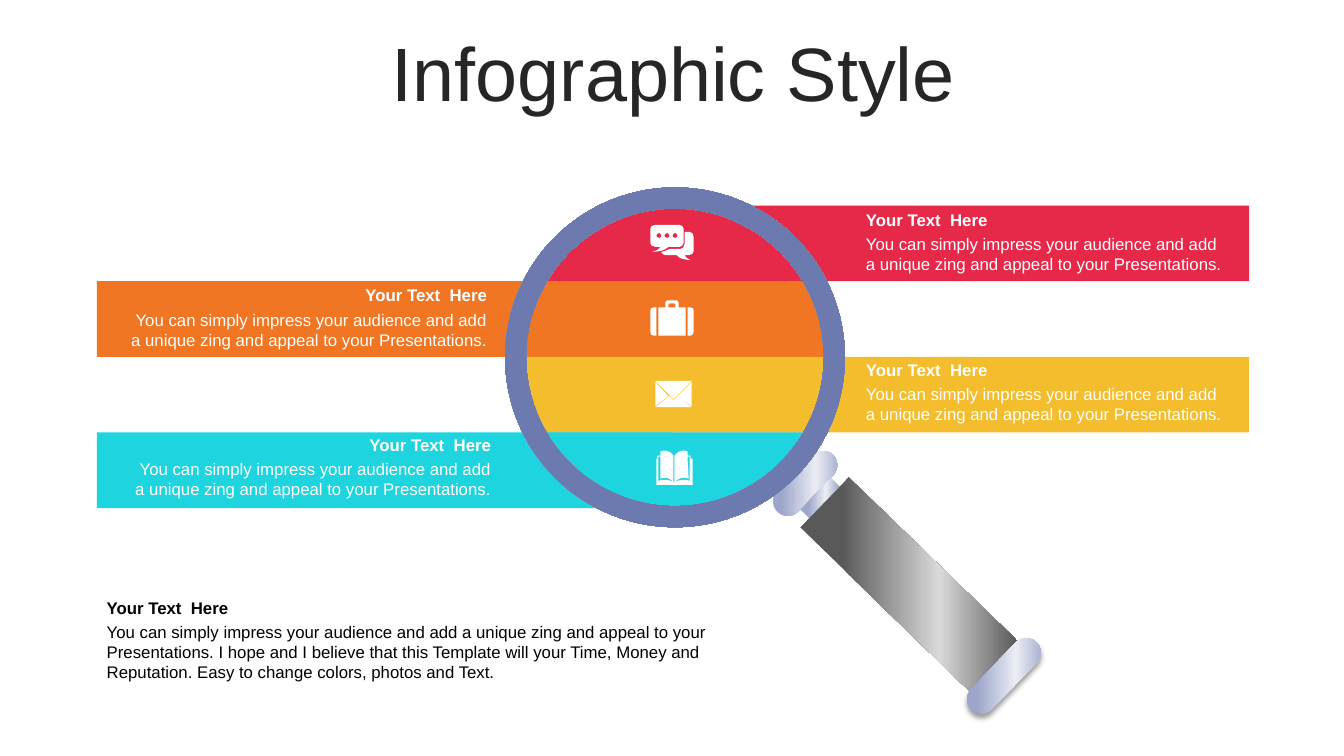
from dataclasses import dataclass
from math import asin, cos, pi, sin, tan

from lxml.etree import SubElement
from pptx import Presentation
from pptx.dml.color import RGBColor
from pptx.enum.shapes import MSO_SHAPE
from pptx.enum.text import MSO_ANCHOR, MSO_AUTO_SIZE, PP_ALIGN
from pptx.oxml import parse_xml
from pptx.oxml.ns import nsdecls, qn
from pptx.util import Inches, Pt


@dataclass(frozen=True)
class Theme:
    font: str = "Arial"
    title_size: int = 54
    text_size: int = 12
    title: str = "262626"
    dark: str = "000000"
    light: str = "FFFFFF"
    red: str = "E62949"
    orange: str = "F07624"
    yellow: str = "F4BD2D"
    cyan: str = "1ED4DE"
    metal: tuple = ((19, "9DA6CA"), (64, "EBEDF4"), (100, "9DA6CA"))
    grip: tuple = ((19, "595959"), (64, "D9D9D9"), (100, "595959"))
    rim: tuple = ((61, "6C7AB0"), (67, "EBEDF4"), (78, "495687"))


THEME = Theme()
WIDTH, HEIGHT = 13.33, 7.5
TITLE = "Infographic Style"
HEADING = "Your Text  Here"
PITCH = "You can simply impress your audience and add a unique zing and appeal to your Presentations."
CLOSING = (PITCH + " I hope and I believe that this Template will your Time, Money and Reputation."
           " Easy to change colors, photos and Text.")

BANDS = [
    (THEME.red, "right", 8.49, 2.03, 3.74),
    (THEME.orange, "left", 1.13, 2.78, 3.8),
    (THEME.yellow, "right", 8.49, 3.52, 3.74),
    (THEME.cyan, "left", 1.17, 4.26, 3.8),
]
ROW = HEIGHT / 10
BANDS_TOP = HEIGHT * 0.272
BAND_WIDTH = 5.71
SIDE_LEFT = {"left": 0.96, "right": 6.68}
LENS_X, LENS_Y, LENS_RADIUS = 6.7, 3.54, 1.48

ENVELOPE = """M 672 393 L 686 404 L 650 404 L 664 393 L 668 397 Z
M 686 379 L 686 403 L 672 393 Z M 650 379 L 663 393 L 650 403 Z
M 650 378 L 686 378 L 668 396 Z"""
BOOK = """M 668 478 C 668 478 669 478 669 478 L 669 478 C 675 476 678 475 684 477
L 684 453 L 682 453 C 682 460 683 467 683 475 C 678 473 674 474 669 478 L 669 453 L 669 452
C 672 449 674 447 677 447 C 679 447 681 447 682 448 C 682 449 682 451 682 452
L 685 452 L 685 455 L 687 455 L 687 481 L 651 481 L 651 455 L 652 455 L 652 452
L 655 452 C 655 451 655 449 655 448 C 657 447 659 447 660 447 C 663 447 666 449 668 452
L 668 453 L 668 478 C 664 474 659 473 655 475 L 655 453 L 653 453 L 653 477
C 659 475 663 476 668 478 Z"""
BUBBLE_DOTS = " ".join(
    f"M {x} 231 C {x - 2} 231 {x - 3} 233 {x - 3} 234 C {x - 3} 235 {x - 2} 236 {x} 236 "
    f"C {x + 1} 236 {x + 2} 235 {x + 2} 234 C {x + 2} 233 {x + 1} 231 {x} 231 Z"
    for x in (670, 662, 654))
BUBBLES = BUBBLE_DOTS + """ M 679 230 L 684 230 C 686 230 688 232 688 235 L 688 249
C 688 251 686 253 684 253 L 679 253 C 680 254 680 256 685 258 C 676 257 675 257 671 253
L 660 253 C 658 253 657 252 656 250 C 659 250 661 248 664 247 L 675 247
C 677 247 679 245 679 242 L 679 230 Z M 650 223 L 674 223 C 676 223 678 225 678 227 L 678 241
C 678 243 676 245 674 245 L 663 245 C 658 249 656 249 647 250 C 652 248 653 248 655 245
L 650 245 C 647 245 645 243 645 241 L 645 227 C 645 225 647 223 650 223 Z"""
SUITCASE = """M 682 305 L 685 305 C 687 305 688 306 688 308 L 688 329
C 688 331 687 333 685 333 L 682 333 Z M 648 305 L 651 305 L 651 333 L 648 333
C 646 333 645 331 645 329 L 645 308 C 645 306 646 305 648 305 Z
M 664 301 C 663 301 663 301 663 302 L 663 305 L 670 305 L 670 302 C 670 301 670 301 669 301 Z
M 662 298 L 671 298 C 672 298 673 299 673 300 L 673 305 L 680 305 L 680 333 L 653 333
L 653 305 L 660 305 L 660 300 C 660 299 661 298 662 298 Z"""

TILT = 314.1
MAGNIFIER = [
    (MSO_SHAPE.ROUNDED_RECTANGLE, (7.59, 4.65, 0.79, 0.29), 0.5, THEME.metal, False),
    (MSO_SHAPE.RECTANGLE, (7.92, 4.88, 0.43, 0.13), None, THEME.metal, False),
    (MSO_SHAPE.RECTANGLE, (8.67, 4.63, 0.69, 2.33), None, THEME.grip, False),
    (MSO_SHAPE.ROUNDED_RECTANGLE, (9.49, 6.56, 0.93, 0.29), 0.5, THEME.metal, True),
    (MSO_SHAPE.DONUT, (5.01, 1.86, 3.37, 3.37), 0.062, THEME.rim, False),
]


def paint(shape, color):
    shape.shadow.inherit = False
    shape.fill.solid()
    shape.fill.fore_color.rgb = RGBColor.from_string(color)
    shape.line.fill.background()


def paint_gradient(shape, stops, direction):
    paint(shape, stops[0][1])
    listing = "".join(f'<a:gs pos="{share * 1000}"><a:srgbClr val="{color}"/></a:gs>'
                      for share, color in stops)
    properties = shape.element.spPr
    properties.replace(properties.find(qn("a:solidFill")), parse_xml(
        f'<a:gradFill {nsdecls("a")} rotWithShape="0"><a:gsLst>{listing}</a:gsLst>{direction}</a:gradFill>'))


def add_shadow(shape):
    effects = shape.element.spPr.find(qn("a:effectLst"))
    shadow = SubElement(effects, qn("a:outerShdw"), blurRad=str(Pt(4)), dist=str(Pt(3)),
                        dir="5400000", algn="t", rotWithShape="0")
    black = SubElement(shadow, qn("a:srgbClr"), val=THEME.dark)
    SubElement(black, qn("a:alpha"), val="40000")


def write(frame, text, size=THEME.text_size, color=THEME.light, bold=False, align=PP_ALIGN.LEFT):
    frame.word_wrap = True
    paragraph = frame.paragraphs[0]
    paragraph.alignment = align
    run = paragraph.add_run()
    run.text = text
    run.font.name = THEME.font
    run.font.size = Pt(size)
    run.font.bold = bold
    run.font.color.rgb = RGBColor.from_string(color)


def add_message(slide, left, top, width, body, body_height=0.5, gap=0.24, **style):
    for text, y, height, bold in ((body, top + gap, body_height, False), (HEADING, top, 0.3, True)):
        box = slide.shapes.add_textbox(Inches(left), Inches(y), Inches(width), Inches(height))
        write(box.text_frame, text, bold=bold, **style)


def add_outline(slide, segments, color):
    scaled = [(command, [(Inches(x), Inches(y)) for x, y in points]) for command, points in segments]
    builder = slide.shapes.build_freeform(*scaled[0][1][0], scale=1.0)
    for index, (command, points) in enumerate(scaled):
        if command == "M" and index:
            builder.move_to(*points[0])
        elif command != "M":
            builder.add_line_segments(points, close=command == "Z")
    outline = builder.convert_to_shape()
    nodes = iter(list(outline.element.spPr.find(".//" + qn("a:path"))))
    for command, points in scaled:
        drawn = [next(nodes) for _ in points or [None]]
        if command == "C":
            curve = parse_xml(f'<a:cubicBezTo {nsdecls("a")}/>')
            drawn[0].addprevious(curve)
            for line in drawn:
                curve.append(line[0])
                line.getparent().remove(line)
    paint(outline, color)


def trace(drawing):
    tokens = iter(drawing.split())
    return [(command, [(int(next(tokens)) / 100, int(next(tokens)) / 100)
                       for _ in range({"M": 1, "L": 1, "C": 3, "Z": 0}[command])])
            for command in tokens]


def arc(start, end):
    reach = 4 / 3 * tan((end - start) / 4)
    spots = [(cos(start), sin(start)),
             (cos(start) - reach * sin(start), sin(start) + reach * cos(start)),
             (cos(end) + reach * sin(end), sin(end) - reach * cos(end)),
             (cos(end), sin(end))]
    return [(LENS_X + LENS_RADIUS * x, LENS_Y + LENS_RADIUS * y) for x, y in spots]


def lens_slice(top, bottom):
    start, end = (asin(max(-1, min(1, (y - LENS_Y) / LENS_RADIUS))) for y in (top, bottom))
    right, left = arc(start, end), arc(pi - end, pi - start)
    return [("M", left[-1:]), ("L", right[:1]), ("C", right[1:]),
            ("L", left[:1]), ("C", left[1:]), ("Z", [])]


def main():
    deck = Presentation()
    deck.slide_width, deck.slide_height = Inches(WIDTH), Inches(HEIGHT)
    slide = deck.slides.add_slide(deck.slide_layouts[5])

    title = slide.shapes.title
    title.left, title.top, title.width, title.height = map(Inches, (0.35, 0.37, 12.66, 0.79))
    title.text_frame.auto_size = MSO_AUTO_SIZE.NONE
    title.text_frame.vertical_anchor = MSO_ANCHOR.MIDDLE
    write(title.text_frame, TITLE, size=THEME.title_size, color=THEME.title, align=PP_ALIGN.CENTER)
    title.text_frame.paragraphs[0].line_spacing = 0.9

    tops = [BANDS_TOP + ROW * index for index in range(len(BANDS))]
    for top, (color, side, *_) in zip(tops, BANDS):
        band = slide.shapes.add_shape(MSO_SHAPE.RECTANGLE, Inches(SIDE_LEFT[side]), Inches(top),
                                      Inches(BAND_WIDTH), Inches(ROW))
        paint(band, color)
    for top, (color, side, text_left, text_top, text_width) in zip(tops, BANDS):
        add_outline(slide, lens_slice(top, top + ROW), color)
        add_message(slide, text_left, text_top, text_width, PITCH,
                    align=PP_ALIGN.RIGHT if side == "left" else PP_ALIGN.LEFT)
    add_message(slide, SIDE_LEFT["left"], 5.88, 6.71, CLOSING, body_height=0.71, color=THEME.dark)

    for icon in (BUBBLES, SUITCASE, ENVELOPE, BOOK):
        add_outline(slide, trace(icon), THEME.light)

    radial = '<a:path path="circle"><a:fillToRect l="50000" t="50000" r="50000" b="50000"/></a:path>'
    for preset, place, adjustment, stops, shaded in MAGNIFIER:
        part = slide.shapes.add_shape(preset, *map(Inches, place))
        part.rotation = TILT
        if adjustment is not None:
            part.adjustments[0] = adjustment
        paint_gradient(part, stops, radial if preset == MSO_SHAPE.DONUT else '<a:lin ang="0" scaled="0"/>')
        if shaded:
            add_shadow(part)

    deck.save("out.pptx")


if __name__ == "__main__":
    main()
